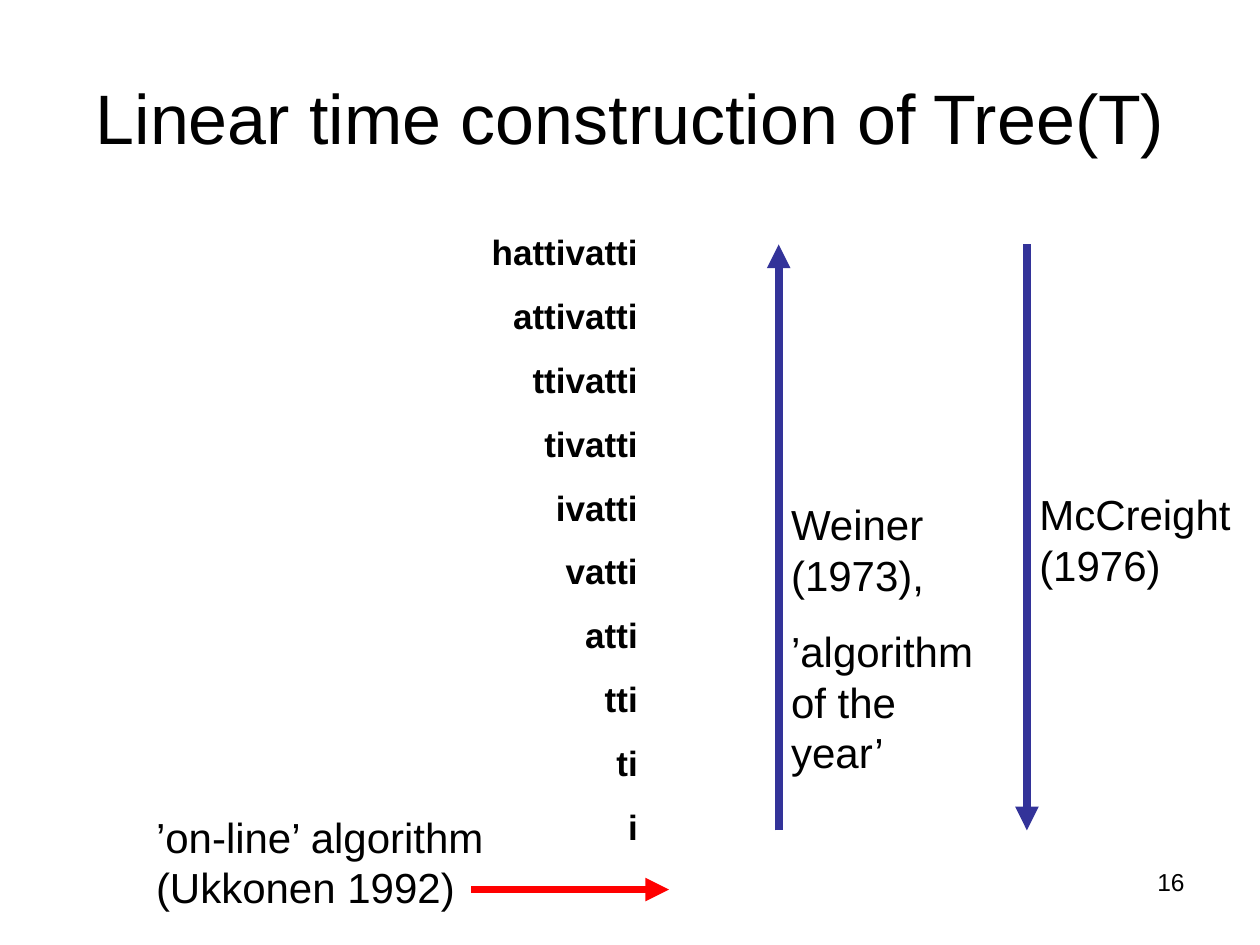
"""Build the slide on linear time construction of suffix trees."""

from dataclasses import dataclass

from lxml.etree import SubElement
from pptx import Presentation
from pptx.dml.color import RGBColor
from pptx.enum.shapes import MSO_CONNECTOR
from pptx.enum.text import MSO_ANCHOR, PP_ALIGN
from pptx.oxml.ns import qn
from pptx.slide import Slide
from pptx.text.text import TextFrame
from pptx.util import Inches, Pt


@dataclass(frozen=True)
class Theme:
    font: str = "Arial"
    text: RGBColor = RGBColor(0x00, 0x00, 0x00)
    offline: RGBColor = RGBColor(0x33, 0x33, 0x99)
    online: RGBColor = RGBColor(0xFF, 0x00, 0x00)
    title_size: float = 40
    label_size: float = 24
    suffix_size: float = 20
    number_size: float = 14
    arrow_width: float = 4.5


@dataclass(frozen=True)
class Box:
    left: float
    top: float
    width: float
    height: float

    def lengths(self) -> tuple[Inches, ...]:
        return tuple(map(Inches, (self.left, self.top, self.width, self.height)))


@dataclass(frozen=True)
class Label:
    box: Box
    lines: tuple[str, ...]
    size: float
    space_before: float = 0
    bold: bool = False
    alignment: PP_ALIGN = PP_ALIGN.LEFT


@dataclass(frozen=True)
class Arrow:
    start: tuple[float, float]
    end: tuple[float, float]
    color: RGBColor


THEME = Theme()
WORD = "hattivatti"
SUFFIXES = tuple(WORD[start:] for start in range(len(WORD)))
TOP, BOTTOM = 1.94, 6.59
WEINER_X, MCCREIGHT_X, UKKONEN_Y = 6.18, 8.15, 7.06

TITLE = Label(Box(0.5, 0.3, 9, 1.25), ("Linear time construction of Tree(T)",),
              THEME.title_size, alignment=PP_ALIGN.CENTER)
LABELS = (
    Label(Box(3.51, 1.78, 1.65, 5), SUFFIXES, THEME.suffix_size, 12.5, True, PP_ALIGN.RIGHT),
    Label(Box(WEINER_X, 3.91, 1.65, 2.31), ("Weiner (1973),", "’algorithm of the year’"),
          THEME.label_size, 15),
    Label(Box(MCCREIGHT_X, 3.83, 1.73, 0.9), ("McCreight (1976)",), THEME.label_size, 15),
    Label(Box(1.14, 6.39, 3.07, 0.9), ("’on-line’ algorithm (Ukkonen 1992)",),
          THEME.label_size, 15),
    Label(Box(7.17, 6.83, 2.33, 0.52), ("16",), THEME.number_size, alignment=PP_ALIGN.RIGHT),
)
ARROWS = (
    Arrow((WEINER_X, BOTTOM), (WEINER_X, TOP), THEME.offline),
    Arrow((MCCREIGHT_X, TOP), (MCCREIGHT_X, BOTTOM), THEME.offline),
    Arrow((3.74, UKKONEN_Y), (5.31, UKKONEN_Y), THEME.online),
)


def write_text(frame: TextFrame, label: Label) -> None:
    """Fill a text frame with one formatted paragraph per line."""
    frame.word_wrap = True
    frame.text = "\n".join(label.lines)
    for paragraph in frame.paragraphs:
        paragraph.alignment = label.alignment
        paragraph.space_before = Pt(label.space_before)
        paragraph.font.name = THEME.font
        paragraph.font.size = Pt(label.size)
        paragraph.font.bold = label.bold
        paragraph.font.color.rgb = THEME.text


def set_title(slide: Slide, label: Label) -> None:
    """Place and format the title placeholder."""
    title = slide.shapes.title
    title.left, title.top, title.width, title.height = label.box.lengths()
    title.text_frame.vertical_anchor = MSO_ANCHOR.MIDDLE
    write_text(title.text_frame, label)


def add_label(slide: Slide, label: Label) -> None:
    """Add a wrapped text box."""
    write_text(slide.shapes.add_textbox(*label.box.lengths()).text_frame, label)


def add_arrow(slide: Slide, arrow: Arrow) -> None:
    """Add a straight connector with a triangle at its end."""
    connector = slide.shapes.add_connector(
        MSO_CONNECTOR.STRAIGHT, *map(Inches, arrow.start + arrow.end))
    connector.line.color.rgb = arrow.color
    connector.line.width = Pt(THEME.arrow_width)
    SubElement(connector.line._get_or_add_ln(), qn("a:tailEnd"), type="triangle")
    SubElement(connector._element.spPr, qn("a:effectLst"))


def main() -> None:
    """Create and save the presentation."""
    presentation = Presentation()
    presentation.slide_width, presentation.slide_height = Inches(10), Inches(7.5)
    slide = presentation.slides.add_slide(presentation.slide_layouts.get_by_name("Title Only"))
    set_title(slide, TITLE)
    for arrow in ARROWS:
        add_arrow(slide, arrow)
    for label in LABELS:
        add_label(slide, label)
    presentation.save("out.pptx")


if __name__ == "__main__":
    main()
